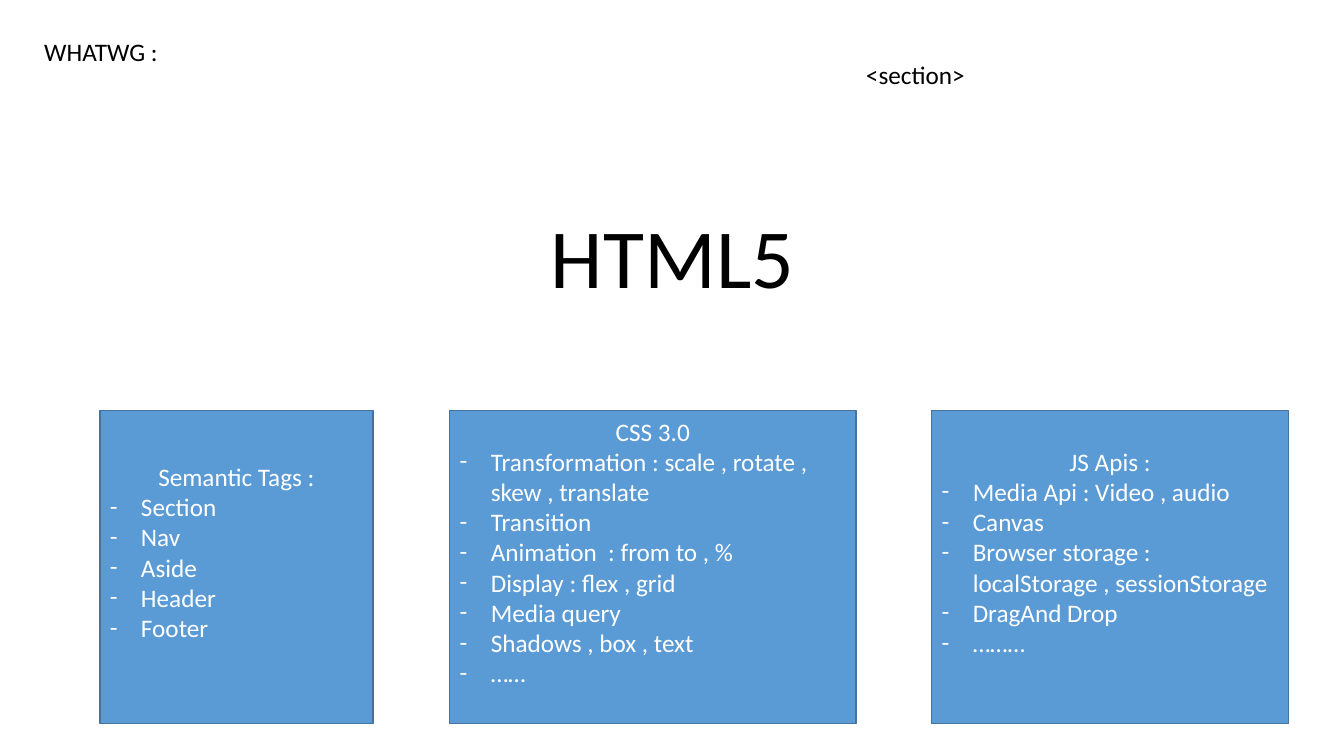
from dataclasses import dataclass

from lxml import etree
from pptx import Presentation
from pptx.dml.color import RGBColor
from pptx.enum.shapes import MSO_SHAPE as SHAPE
from pptx.enum.text import MSO_ANCHOR as ANCHOR, PP_ALIGN as ALIGN
from pptx.oxml.ns import qn
from pptx.util import Inches, Pt

FONT = "Calibri"
BLACK, WHITE, BLUE, EDGE = "000000", "FFFFFF", "5B9BD5", "43739E"
CARD_TOP, CARD_HEIGHT = 4.07, 3.11
INDENT = 0.31


@dataclass
class Card:
    left: float
    width: float
    heading: str
    items: list[str]


@dataclass
class Label:
    left: float
    top: float
    width: float
    height: float
    text: str


CARDS = [
    Card(0.99, 2.71, "Semantic Tags :",
         ["Section", "Nav", "Aside", "Header", "Footer"]),
    Card(4.46, 4.03, "CSS 3.0",
         ["Transformation : scale , rotate , skew , translate", "Transition",
          "Animation  : from to , %", "Display : flex , grid", "Media query",
          "Shadows , box , text", "……"]),
    Card(9.24, 3.54, "JS Apis :",
         ["Media Api : Video , audio", "Canvas",
          "Browser storage : localStorage , sessionStorage",
          "DragAnd Drop", "………"]),
]
LABELS = [
    Label(8.49, 0.54, 3.29, 0.4, "<section>"),
    Label(0.34, 0.31, 4.51, 0.71, "WHATWG :"),
]


def rgb(value: str) -> RGBColor:
    return RGBColor.from_string(value)


def write(p, text: str, size: float, color: str, align=ALIGN.LEFT) -> None:
    p.text = text
    p.alignment = align
    for r in p.runs:
        r.font.name = FONT
        r.font.size = Pt(size)
        r.font.color.rgb = rgb(color)


def add_dash(p) -> None:
    pPr = p._p.get_or_add_pPr()
    pPr.set("marL", str(Inches(INDENT)))
    pPr.set("indent", str(-Inches(INDENT)))
    etree.SubElement(pPr, qn("a:buFont")).set("typeface", FONT)
    etree.SubElement(pPr, qn("a:buChar")).set("char", "-")


def draw_card(s, card: Card) -> None:
    sp = s.shapes.add_shape(SHAPE.RECTANGLE, Inches(card.left), Inches(CARD_TOP),
                            Inches(card.width), Inches(CARD_HEIGHT))
    sp.shadow.inherit = False
    sp.fill.solid()
    sp.fill.fore_color.rgb = rgb(BLUE)
    sp.line.color.rgb = rgb(EDGE)
    sp.line.width = Pt(1)
    tf = sp.text_frame
    tf.word_wrap = True
    tf.vertical_anchor = ANCHOR.MIDDLE
    # The larger bottom margin lifts the text by half a line
    tf.margin_top, tf.margin_bottom = Inches(0), Inches(0.3)
    write(tf.paragraphs[0], card.heading, 18, WHITE, ALIGN.CENTER)
    for item in card.items:
        p = tf.add_paragraph()
        write(p, item, 18, WHITE)
        add_dash(p)


def draw_label(s, label: Label) -> None:
    sp = s.shapes.add_textbox(Inches(label.left), Inches(label.top),
                              Inches(label.width), Inches(label.height))
    sp.text_frame.word_wrap = True
    write(sp.text_frame.paragraphs[0], label.text, 18, BLACK)


def main() -> None:
    prs = Presentation()
    prs.slide_width, prs.slide_height = Inches(13.33), Inches(7.5)
    s = prs.slides.add_slide(prs.slide_layouts[5])

    # Title
    title = s.shapes.title
    title.left, title.top = Inches(1.67), Inches(1.79)
    title.width, title.height = Inches(10), Inches(1.3)
    title.text_frame.vertical_anchor = ANCHOR.BOTTOM
    p = title.text_frame.paragraphs[0]
    write(p, "HTML5", 60, BLACK, ALIGN.CENTER)
    p.line_spacing = 0.9

    # Topic cards
    for card in CARDS:
        draw_card(s, card)

    # Corner labels
    for label in LABELS:
        draw_label(s, label)

    prs.save("out.pptx")


if __name__ == "__main__":
    main()
